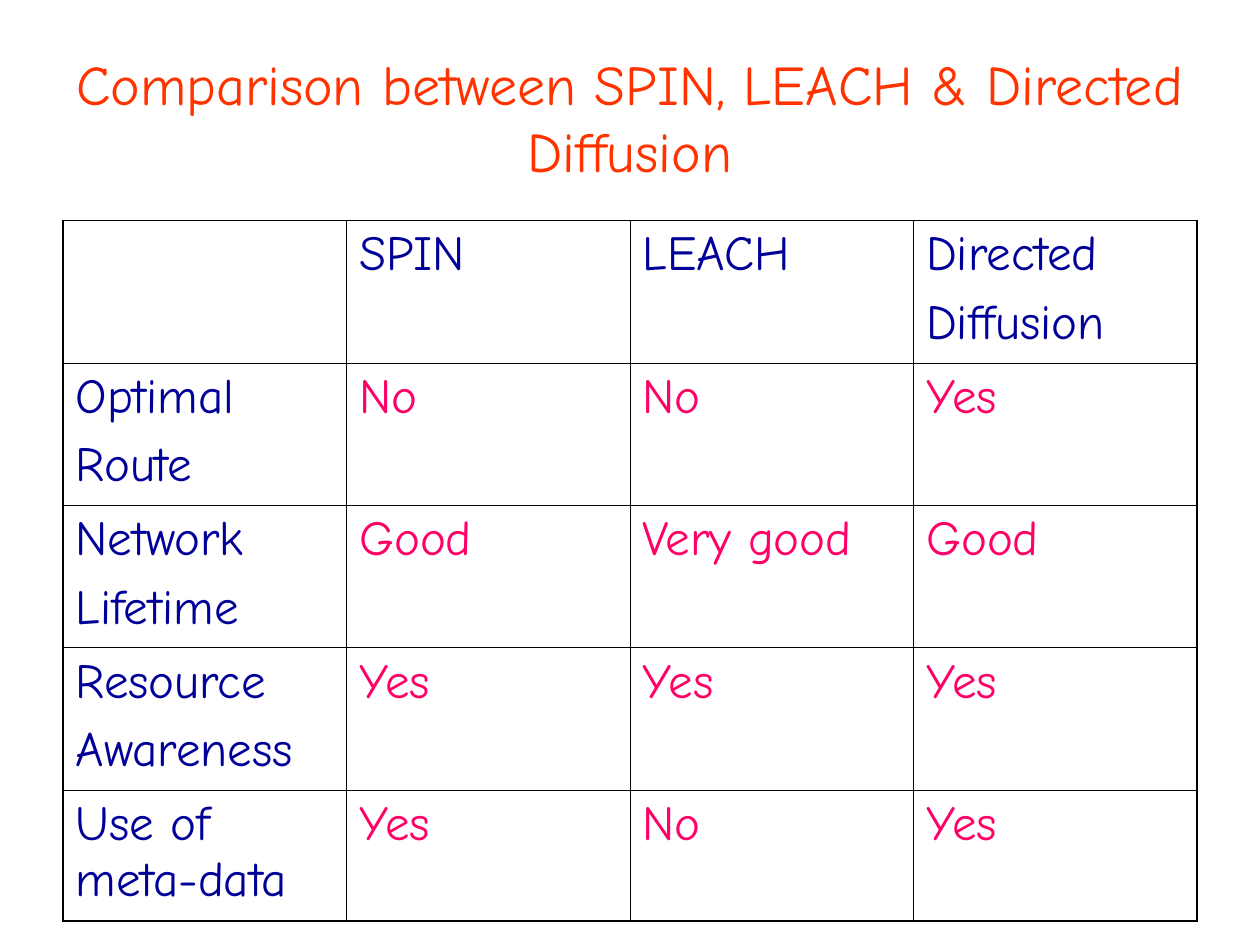
"""Build a slide comparing three sensor network routing protocols."""
from lxml import etree
from pptx import Presentation
from pptx import util as u
from pptx.dml.color import RGBColor
from pptx.enum import text
from pptx.oxml.ns import qn

FONT = "Comic Neue"
TITLE = "Comparison between SPIN, LEACH & Directed Diffusion"
TITLE_COLOR, LABEL_COLOR, VALUE_COLOR, LINE_COLOR = "FF3300", "000099", "FF0066", "000000"
ROWS = [
    ["", "SPIN", "LEACH", "Directed\nDiffusion"],
    ["Optimal\nRoute", "No", "No", "Yes"],
    ["Network\nLifetime", "Good", "Very good", "Good"],
    ["Resource\nAwareness", "Yes", "Yes", "Yes"],
    ["Use of meta-data", "Yes", "No", "Yes"],
]
ROW_HEIGHTS = [1.13, 1.13, 1.13, 1.13, 1.04]
COLUMN_WIDTH = 2.25
OUTER_LINE, INNER_LINE = 1.08, 0.45


def add_run(paragraph, words, size, color):
    run = paragraph.add_run()
    run.text = words
    run.font.name = FONT
    run.font.size = u.Pt(size)
    run.font.bold = False
    run.font.color.rgb = RGBColor.from_string(color)


def add_title(slide):
    title = slide.shapes.title
    title.left, title.top = u.Inches(0.5), u.Inches(0.3)
    title.width, title.height = u.Inches(9), u.Inches(1.25)
    frame = title.text_frame
    frame.word_wrap = True
    frame.auto_size = text.MSO_AUTO_SIZE.NONE
    frame.vertical_anchor = text.MSO_ANCHOR.MIDDLE
    paragraph = frame.paragraphs[0]
    paragraph.alignment = text.PP_ALIGN.CENTER
    add_run(paragraph, TITLE, 32, TITLE_COLOR)


def set_borders(cell, outer_sides):
    properties = cell._tc.get_or_add_tcPr()
    for position, (side, is_outer) in enumerate(outer_sides.items()):
        width = u.Pt(OUTER_LINE if is_outer else INNER_LINE)
        line = etree.Element(qn(f"a:ln{side}"), w=str(width))
        fill = etree.SubElement(line, qn("a:solidFill"))
        etree.SubElement(fill, qn("a:srgbClr"), val=LINE_COLOR)
        properties.insert(position, line)


def fill_cell(cell, words, color):
    cell.fill.background()
    cell.margin_left = cell.margin_right = u.Inches(0.1)
    cell.margin_top = cell.margin_bottom = u.Inches(0.05)
    frame = cell.text_frame
    for index, line in enumerate(words.split("\n") if words else []):
        paragraph = frame.add_paragraph() if index else frame.paragraphs[0]
        if index:
            paragraph.space_before = u.Pt(7)
        add_run(paragraph, line, 28, color)


def add_comparison_table(slide):
    row_count, column_count = len(ROWS), len(ROWS[0])
    table = slide.shapes.add_table(
        row_count, column_count, u.Inches(0.5), u.Inches(1.75),
        u.Inches(COLUMN_WIDTH * column_count), u.Inches(sum(ROW_HEIGHTS))).table
    table.first_row = table.horz_banding = False
    for column in table.columns:
        column.width = u.Inches(COLUMN_WIDTH)
    for row_index, (row, height) in enumerate(zip(ROWS, ROW_HEIGHTS)):
        table.rows[row_index].height = u.Inches(height)
        for column_index, words in enumerate(row):
            cell = table.cell(row_index, column_index)
            is_label = row_index == 0 or column_index == 0
            fill_cell(cell, words, LABEL_COLOR if is_label else VALUE_COLOR)
            set_borders(cell, {
                "L": column_index == 0, "R": column_index == column_count - 1,
                "T": row_index == 0, "B": row_index == row_count - 1})


def main():
    presentation = Presentation()
    presentation.slide_width, presentation.slide_height = u.Inches(10), u.Inches(7.5)
    slide = presentation.slides.add_slide(presentation.slide_layouts[5])
    add_title(slide)
    add_comparison_table(slide)
    presentation.save("out.pptx")


if __name__ == "__main__":
    main()
